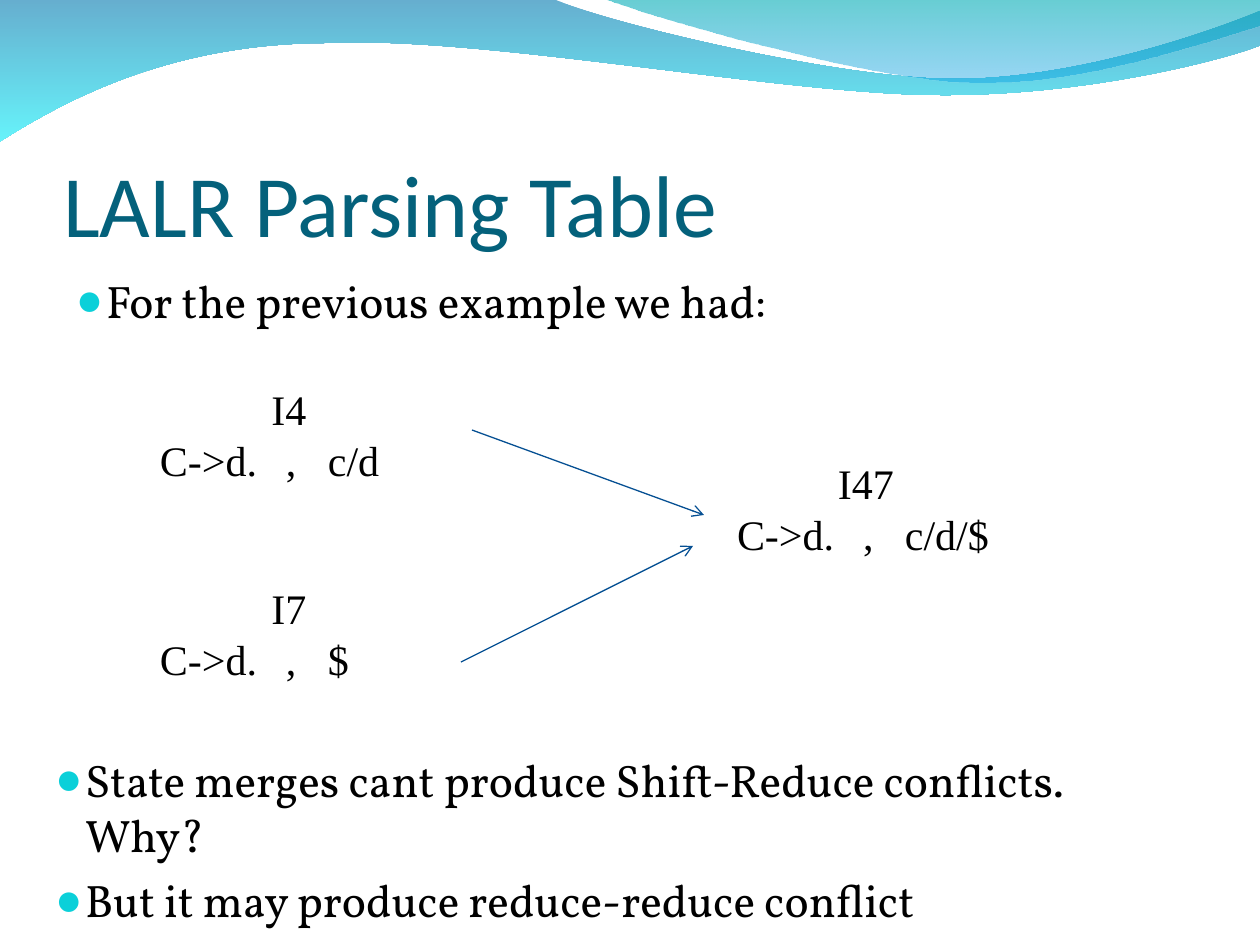
from lxml.etree import SubElement
from pptx import Presentation
from pptx.dml.color import RGBColor
from pptx.enum.shapes import MSO_CONNECTOR
from pptx.enum.text import MSO_ANCHOR, MSO_AUTO_SIZE, PP_ALIGN
from pptx.oxml.ns import qn
from pptx.util import Pt

SCALE = 914400 / 126
PAGE_SIZE = (1260, 945)
BLACK = RGBColor(0x00, 0x00, 0x00)
TITLE_TEAL = RGBColor(0x04, 0x61, 0x7B)
BULLET_CYAN = RGBColor(0x0B, 0xD0, 0xD9)
ARROW_BLUE = RGBColor(0x06, 0x50, 0x93)
WAVE_BLUE = RGBColor(0x00, 0x79, 0xAF)
WAVE_AQUA = RGBColor(0x00, 0xEB, 0xF8)
WAVE_TEAL = RGBColor(0x00, 0xAD, 0xB6)
WAVE_SKY = RGBColor(0x00, 0x9B, 0xE5)

TITLE_FONT = {"name": "Calibri", "size": Pt(50)}
LIST_FONT = {"name": "Vollkorn", "size": Pt(26)}
STATE_FONT = {"name": "Times New Roman", "size": Pt(24)}

LARGE_WAVE = [
    [(0, -1)],
    [(554, -1)],
    [(600, 21), (837, 79), (955, 79)],
    [(1075, 79), (1207, 33), (1260, 11)],
    [(1261, 45)],
    [(1239, 55), (1096, 96), (940, 95)],
    [(784, 95), (481, 35), (324, 43)],
    [(163, 44), (58, 105), (-1, 142)],
    [(0, -1)],
]
SMALL_WAVE = [
    [(604, -1)],
    [(641, 14), (859, 78), (969, 82)],
    [(1079, 87), (1211, 40), (1260, 26)],
    [(1260, 0)],
    [(604, -1)],
]
STATES = [
    ("I4", "C->d.\t,   c/d", (147, 378)),
    ("I7", "C->d.\t,   $", (147, 577)),
    ("I47", "C->d.\t,   c/d/$", (724, 452)),
]
ARROWS = [((472, 430), (704, 515)), ((461, 662), (693, 546))]


def emu(pixels):
    """Turn pixels into EMU."""
    return round(pixels * SCALE)


def set_all(target, values):
    """Set every attribute named in a dict."""
    for name, value in values.items():
        setattr(target, name, value)


def place(box, left, top, width, height):
    """Move and size a shape in pixels."""
    set_all(box, {"left": emu(left), "top": emu(top),
                  "width": emu(width), "height": emu(height)})


def set_frame(box, anchor=MSO_ANCHOR.TOP, side=13):
    """Set wrapping, anchor and margins of a text frame."""
    set_all(box.text_frame, {
        "word_wrap": True, "auto_size": MSO_AUTO_SIZE.NONE,
        "vertical_anchor": anchor, "margin_left": emu(side),
        "margin_right": emu(side), "margin_top": emu(6),
        "margin_bottom": emu(6 if side else 0)})


def write_lines(box, lines, font, color=BLACK):
    """Write one paragraph per line and return the paragraphs."""
    frame = box.text_frame
    for index, line in enumerate(lines):
        para = frame.add_paragraph() if index else frame.paragraphs[0]
        span = para.add_run()
        span.text = line
        set_all(span.font, font)
        span.font.color.rgb = color
        para.alignment = PP_ALIGN.LEFT
    return frame.paragraphs


def add_title(page, text):
    """Fill the title placeholder."""
    box = page.shapes.title
    place(box, 63, 97, 1134, 158)
    set_frame(box, MSO_ANCHOR.BOTTOM, 0)
    write_lines(box, [text], TITLE_FONT, TITLE_TEAL)


def add_list(box, bounds, lines):
    """Fill a body placeholder with round bullets."""
    place(box, *bounds)
    set_frame(box)
    for para in write_lines(box, lines, LIST_FONT):
        para.space_before = Pt(6.5)
        properties = para._p.get_or_add_pPr()
        properties.set("marL", str(emu(30)))
        properties.set("indent", str(-emu(30)))
        color = SubElement(properties, qn("a:buClr"))
        SubElement(color, qn("a:srgbClr"), val=str(BULLET_CYAN))
        SubElement(properties, qn("a:buChar"), char="●")


def add_state(page, name, rule, corner):
    """Add a parser state with its centred name and its item."""
    box = page.shapes.add_textbox(0, 0, 0, 0)
    place(box, *corner, 284, 164)
    set_frame(box)
    write_lines(box, [name, rule], STATE_FONT)[0].alignment = PP_ALIGN.CENTER


def add_arrow(page, start, end):
    """Add a thin line with an open arrowhead at its end."""
    arrow = page.shapes.add_connector(
        MSO_CONNECTOR.STRAIGHT, *map(emu, start + end))
    arrow.line.color.rgb = ARROW_BLUE
    arrow.line.width = Pt(0.74)
    SubElement(arrow.line._get_or_add_ln(), qn("a:tailEnd"), type="arrow")
    SubElement(arrow._element.spPr, qn("a:effectLst"))


def bend(wave, segments):
    """Join the lines of each three-point segment into one cubic curve."""
    lines = wave._element.iter(qn("a:lnTo"))
    remaining = iter(list(lines))
    for segment in segments[1:]:
        group = [next(remaining) for _ in segment]
        if len(group) == 3:
            first, *others = group
            first.tag = qn("a:cubicBezTo")
            for other in others:
                first.append(other[0])
                other.getparent().remove(other)


def add_wave(page, segments, stops, layer):
    """Add a translucent wave with a downward gradient behind the text."""
    outline = [(emu(x), emu(y)) for segment in segments for x, y in segment]
    builder = page.shapes.build_freeform(*outline[0])
    builder.add_line_segments(outline[1:], close=True)
    wave = builder.convert_to_shape()
    bend(wave, segments)
    wave.shadow.inherit = False
    wave.line.fill.background()
    wave.fill.gradient()
    wave.fill.gradient_angle = 270
    for stop, (position, color, opacity) in zip(wave.fill.gradient_stops, stops):
        stop.position = position
        stop.color.rgb = color
        node = stop._gs.find(qn("a:srgbClr"))
        SubElement(node, qn("a:alpha"), val=str(opacity * 1000))
    page.shapes._spTree.insert(2 + layer, wave._element)


def main():
    """Build the slide and save it."""
    deck = Presentation()
    deck.slide_width, deck.slide_height = map(emu, PAGE_SIZE)
    page = deck.slides.add_slide(deck.slide_layouts[3])
    add_wave(page, LARGE_WAVE, [(0, WAVE_BLUE, 60), (1, WAVE_AQUA, 60)], 0)
    add_wave(page, SMALL_WAVE, [(0, WAVE_TEAL, 60), (1, WAVE_SKY, 40)], 1)
    add_title(page, "LALR Parsing Table")
    add_list(page.placeholders[1], (63, 267, 1134, 154),
             ["For the previous example we had:"])
    add_list(page.placeholders[2], (42, 746, 1134, 154),
             ["State merges cant produce Shift-Reduce conflicts. Why?",
              "But it may produce reduce-reduce conflict"])
    for state in STATES:
        add_state(page, *state)
    for arrow in ARROWS:
        add_arrow(page, *arrow)
    deck.save("out.pptx")


main()
